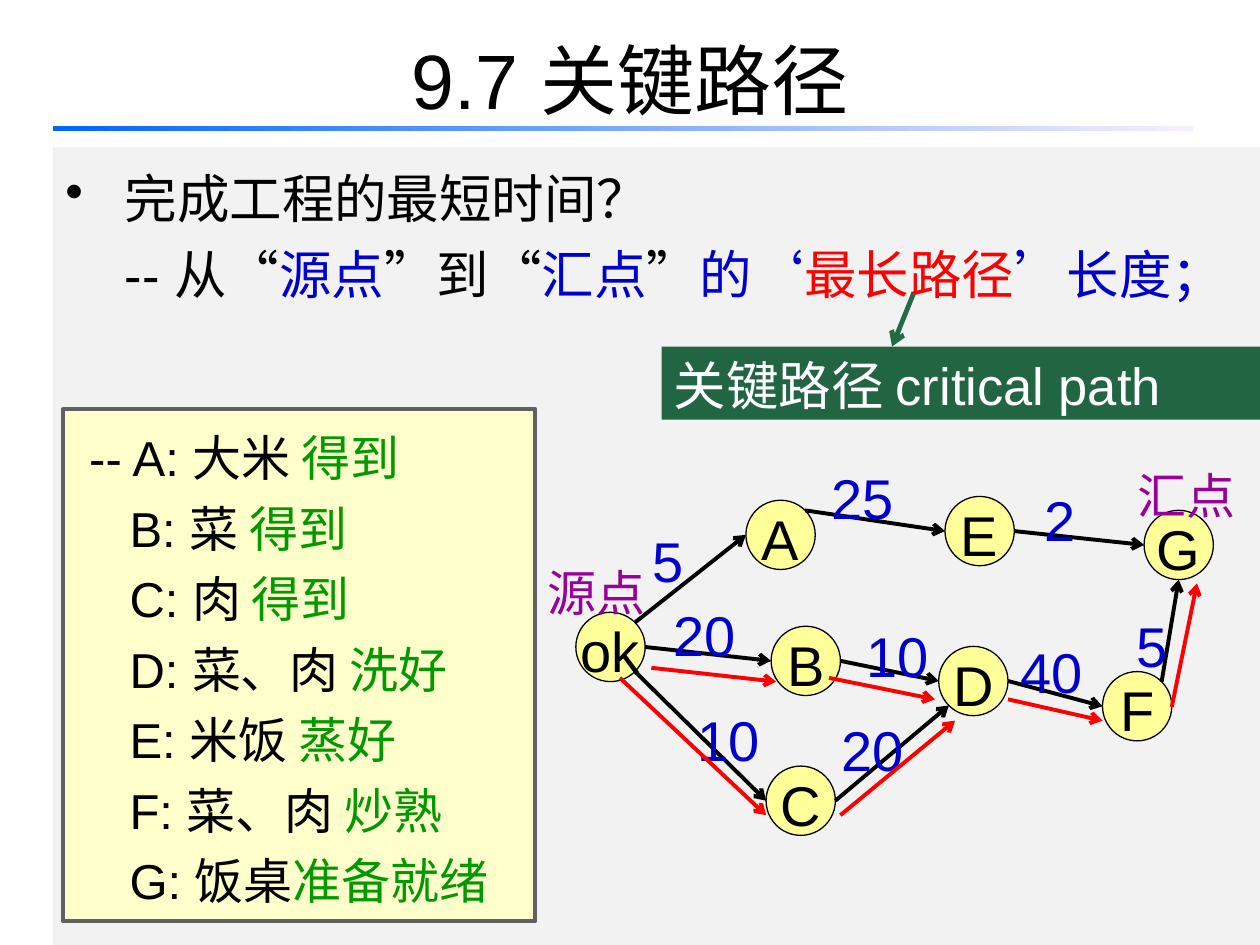
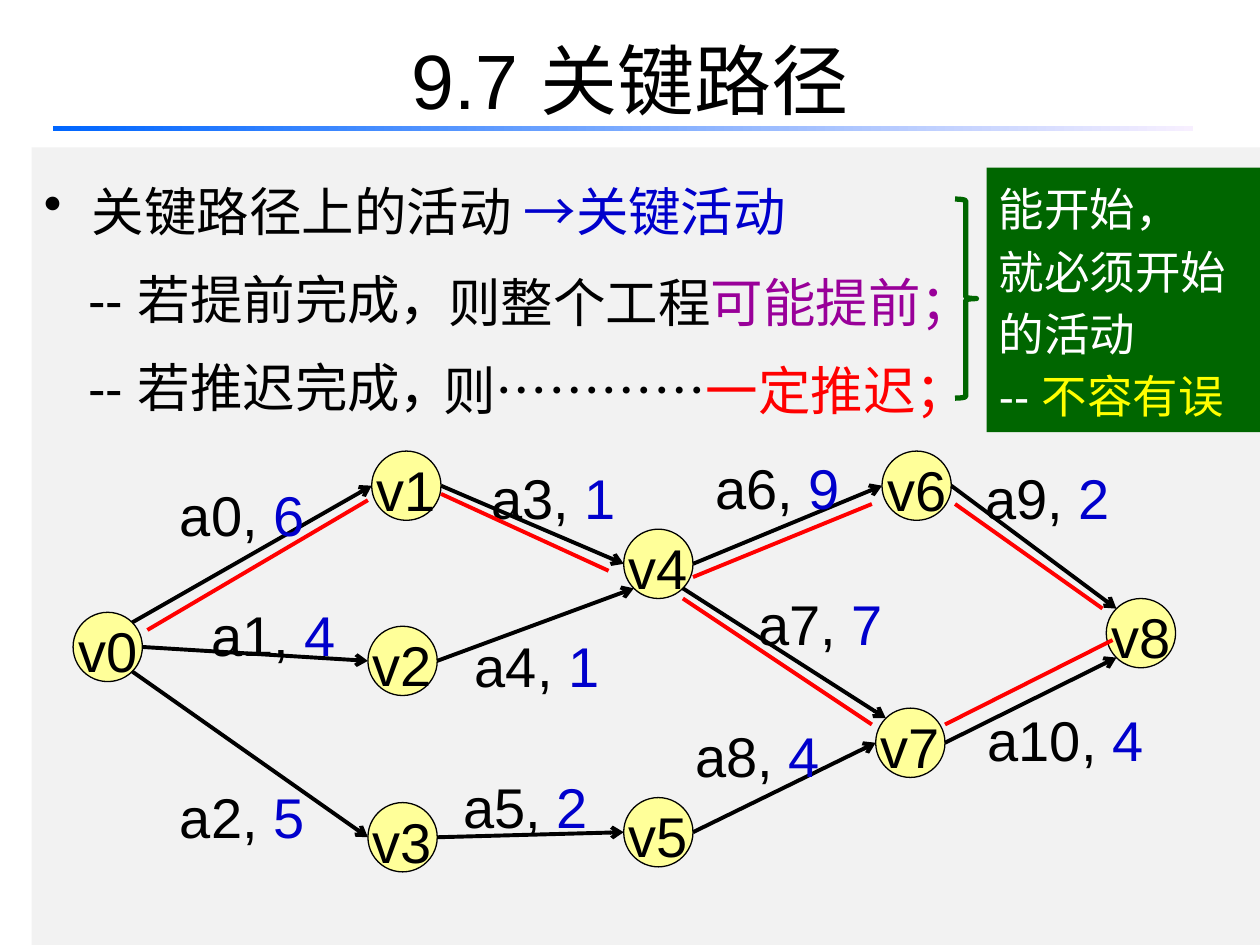
"""Build two slides on critical paths in activity networks."""
import math
from dataclasses import dataclass

from lxml import etree
from pptx import Presentation
from pptx import util as u
from pptx.dml import color as c
from pptx.enum import shapes, text
from pptx.oxml import ns


@dataclass(frozen=True)
class Theme:
    font: str = "Arial"
    ink: str = "000000"
    white: str = "FFFFFF"
    panel: str = "F2F2F2"
    rule_start: str = "0066FF"
    rule_end: str = "F7EFFF"
    blue: str = "0000CC"
    red: str = "FF0000"
    purple: str = "990099"
    green: str = "009900"
    banner: str = "216543"
    pointer: str = "236B47"
    note: str = "006600"
    yellow: str = "FFFF00"
    node: str = "FFFF99"
    legend: str = "FFFFCC"
    legend_edge: str = "606060"
    title_size: int = 44
    node_size: int = 32
    body_size: int = 30
    legend_size: int = 28
    note_size: int = 26
    edge_width: float = 2.25


THEME = Theme()
NODE = 0.55
SITES = {"r": 0, "br": 45, "b": 90, "bl": 135, "l": 180, "tl": 225, "t": 270, "tr": 315}


def rgb(value):
    return c.RGBColor.from_string(value)


def inches(*lengths):
    return [u.Inches(length) for length in lengths]


def write(frame, paragraphs, size=THEME.body_size, color=THEME.ink, spacing=None,
          align=text.PP_ALIGN.LEFT, anchor=text.MSO_ANCHOR.TOP, wrap=True,
          margins=(), bullet=False):
    frame.word_wrap = wrap
    frame.vertical_anchor = anchor
    for index, spans in enumerate(paragraphs):
        para = frame.paragraphs[0] if index == 0 else frame.add_paragraph()
        para.alignment = align
        if spacing:
            para.line_spacing = spacing
        if margins:
            margin = u.Inches(margins[index])
            properties = para._p.get_or_add_pPr()
            properties.set("marL", str(margin))
            if bullet and index == 0:
                properties.set("indent", str(-margin))
                etree.SubElement(properties, ns.qn("a:buChar")).set("char", "•")
        for item in spans:
            words, tint = (item, color) if isinstance(item, str) else item
            span = para.add_run()
            span.text = words
            span.font.name = THEME.font
            span.font.size = u.Pt(size)
            span.font.color.rgb = rgb(tint)


def site(center, name):
    angle = math.radians(SITES[name])
    return (center[0] + NODE / 2 * math.cos(angle), center[1] + NODE / 2 * math.sin(angle))


class Painter:
    """Hold the theme and the current slide."""

    def __init__(self, deck, theme):
        self.deck = deck
        self.theme = theme
        self.page = None

    def start(self, title, panel_left):
        self.page = self.deck.slides.add_slide(self.deck.slide_layouts[5])
        heading = self.page.shapes.title
        heading.left, heading.top, heading.width, heading.height = inches(0.5, 0, 9, 1.25)
        write(heading.text_frame, [[title]], size=self.theme.title_size,
              align=text.PP_ALIGN.CENTER, anchor=text.MSO_ANCHOR.MIDDLE)
        rule = self.shape((0.42, 1, 9.05, 0.04))
        rule.fill.gradient()
        rule.fill.gradient_angle = 0
        for stop, tint in zip(rule.fill.gradient_stops,
                              (self.theme.rule_start, self.theme.rule_end)):
            stop.color.rgb = rgb(tint)
        return self.shape((panel_left, 1.17, 10 - panel_left, 6.33), fill=self.theme.panel)

    def shape(self, place, kind=shapes.MSO_SHAPE.RECTANGLE, fill=None, line=None, width=1):
        box = self.page.shapes.add_shape(kind, *inches(*place))
        box.shadow.inherit = False
        if fill:
            box.fill.solid()
            box.fill.fore_color.rgb = rgb(fill)
        else:
            box.fill.background()
        if line:
            box.line.color.rgb = rgb(line)
            box.line.width = u.Pt(width)
        else:
            box.line.fill.background()
        return box

    def label(self, place, spans, **style):
        box = self.page.shapes.add_textbox(*inches(*place))
        box.text_frame.auto_size = text.MSO_AUTO_SIZE.SHAPE_TO_FIT_TEXT
        write(box.text_frame, [spans], spacing=1.25, **style)

    def weight(self, left, top, value, name=""):
        prefix = f"{name}, " if name else ""
        characters = prefix + value
        letters = sum(letter.isalnum() for letter in characters)
        width = 0.2 + 0.25 * letters + 0.125 * (len(characters) - letters)
        spans = [prefix] if prefix else []
        self.label((left, top, width, 0.71), spans + [(value, self.theme.blue)],
                   size=self.theme.node_size, wrap=False)

    def line(self, start, end, color, arrow=True, width=THEME.edge_width):
        link = self.page.shapes.add_connector(shapes.MSO_CONNECTOR.STRAIGHT,
                                              *inches(*start, *end))
        link.line.color.rgb = rgb(color)
        link.line.width = u.Pt(width)
        properties = link.element.spPr
        if arrow:
            outline = properties.find(ns.qn("a:ln"))
            etree.SubElement(outline, ns.qn("a:tailEnd")).set("type", "arrow")
        etree.SubElement(properties, ns.qn("a:effectLst"))

    def network(self, nodes, edges):
        centers = {}
        for name, (left, top) in nodes.items():
            circle = self.shape((left, top, NODE, NODE), shapes.MSO_SHAPE.OVAL,
                                self.theme.node, self.theme.ink, 0.75)
            write(circle.text_frame, [[name]], size=self.theme.node_size, spacing=1.1,
                  align=text.PP_ALIGN.CENTER, anchor=text.MSO_ANCHOR.MIDDLE, wrap=False)
            centers[name] = (left + NODE / 2, top + NODE / 2)
        for source, leave, target, arrive in edges:
            self.line(site(centers[source], leave), site(centers[target], arrive),
                      self.theme.ink)

    def critical(self, routes, arrow):
        for left, top, right, bottom in routes:
            self.line((left, top), (right, bottom), self.theme.red, arrow)


def build_shortest_time(painter):
    theme = painter.theme
    blue = theme.blue
    panel = painter.start("9.7 关键路径", 0.42)
    write(panel.text_frame, [
        ["完成工程的最短时间？"],
        ["-- 从“", ("源点", blue), "”到“", ("汇点", blue), "”", ("的‘", blue),
         ("最长路径", theme.red), ("’长度；", blue)],
    ], spacing=1.2, margins=(0.47, 0.47), bullet=True)
    banner = painter.shape((5.25, 2.75, 4.75, 0.58), fill=theme.banner)
    write(banner.text_frame, [["关键路径 critical path"]], color=theme.white)
    painter.line((7.25, 2.33), (7.08, 2.75), theme.pointer, width=2.75)

    legend = painter.shape((0.5, 3.25, 3.75, 4.06), fill=theme.legend,
                           line=theme.legend_edge, width=2.25)
    states = [("-- A: 大米 ", "得到"), ("B: 菜 ", "得到"), ("C: 肉 ", "得到"),
              ("D: 菜、肉 ", "洗好"), ("E: 米饭 ", "蒸好"), ("F: 菜、肉 ", "炒熟"),
              ("G: 饭桌", "准备就绪")]
    write(legend.text_frame, [[item, (state, theme.green)] for item, state in states],
          size=theme.legend_size, spacing=1.2, margins=[0.11] + [0.43] * 6)

    painter.network(
        {"ok": (4.57, 4.86), "A": (5.92, 3.97), "B": (6.12, 4.97), "C": (6.08, 6.08),
         "D": (7.45, 5.13), "E": (7.5, 3.94), "F": (8.75, 5.33), "G": (9.08, 4.05)},
        [("ok", "tr", "A", "l"), ("ok", "r", "B", "l"), ("ok", "br", "C", "l"),
         ("A", "tr", "E", "l"), ("B", "r", "D", "l"), ("C", "r", "D", "bl"),
         ("D", "r", "F", "l"), ("E", "r", "G", "l"), ("F", "tr", "G", "b")])
    for left, top, width, name in [(4.25, 4.3, 0.99, "源点"), (8.93, 3.53, 1.07, "汇点")]:
        painter.label((left, top, width, 0.63), [name],
                      size=theme.legend_size, color=theme.purple)
    for left, top, value in [(5.08, 4, "5"), (5.25, 4.58, "20"), (5.44, 5.42, "10"),
                             (6.58, 5.5, "20"), (6.78, 4.75, "10"), (6.5, 3.5, "25"),
                             (8.92, 4.67, "5"), (8.19, 3.67, "2"), (8, 4.88, "40")]:
        painter.weight(left, top, value)
    painter.critical([(5.17, 5.3, 6.16, 5.41), (6.58, 5.38, 7.42, 5.55),
                      (8, 5.55, 8.75, 5.72), (4.92, 5.38, 6.08, 6.47),
                      (6.67, 6.47, 7.58, 5.72), (9.3, 5.61, 9.5, 4.63)], arrow=True)


def build_critical_activities(painter):
    theme = painter.theme
    panel = painter.start("9.7 关键路径", 0.25)
    write(panel.text_frame, [
        ["关键路径上的活动 ", ("→关键活动", theme.blue)],
        ["-- 若提前完成，"],
        ["-- 若推迟完成，"],
    ], spacing=1.4, margins=(0.38, 0.35, 0.35), bullet=True)
    painter.label((3.46, 1.97, 4.46, 0.67), ["则整个工程", ("可能提前；", theme.purple)])
    painter.label((3.42, 2.67, 4.41, 0.67), ["则…………", ("一定推迟；", theme.red)],
                  wrap=False)

    painter.network(
        {"v0": (0.58, 4.86), "v1": (2.95, 3.58), "v2": (2.92, 4.97), "v3": (2.92, 6.37),
         "v4": (4.95, 4.2), "v5": (4.95, 6.33), "v6": (7, 3.58), "v7": (6.95, 5.62),
         "v8": (8.78, 4.75)},
        [("v0", "tr", "v1", "l"), ("v0", "r", "v2", "l"), ("v0", "br", "v3", "l"),
         ("v1", "r", "v4", "l"), ("v2", "r", "v4", "bl"), ("v3", "r", "v5", "l"),
         ("v4", "r", "v6", "l"), ("v4", "br", "v7", "tl"), ("v5", "r", "v7", "l"),
         ("v6", "r", "v8", "tl"), ("v7", "r", "v8", "bl")])
    activities = [(1.33, 3.63, "6"), (1.58, 4.58, "4"), (1.33, 6.03, "5"),
                  (3.8, 3.5, "1"), (3.67, 4.83, "1"), (3.58, 5.95, "2"),
                  (5.58, 3.42, "9"), (5.92, 4.5, "7"), (5.42, 5.54, "4"),
                  (7.72, 3.5, "2"), (7.74, 5.42, "4")]
    for number, (left, top, value) in enumerate(activities):
        painter.weight(left, top, value, f"a{number}")
    painter.critical([(1.17, 5, 2.92, 3.97), (3.5, 3.92, 4.83, 4.53),
                      (5.5, 4.58, 6.92, 4), (7.58, 4, 8.75, 4.83),
                      (5.42, 4.75, 6.92, 5.75), (7.5, 5.75, 8.83, 5.08)], arrow=False)

    painter.shape((7.58, 1.58, 0.17, 1.58), shapes.MSO_SHAPE.RIGHT_BRACE,
                  line=theme.note, width=3)
    note = painter.shape((7.83, 1.33, 2.17, 2.1), fill=theme.note)
    write(note.text_frame, [["能开始，"], ["就必须开始"], ["的活动"],
                            ["-- ", ("不容有误", theme.yellow)]],
          size=theme.note_size, color=theme.white, spacing=1.14)


def main():
    deck = Presentation()
    deck.slide_width, deck.slide_height = inches(10, 7.5)
    painter = Painter(deck, THEME)
    build_shortest_time(painter)
    build_critical_activities(painter)
    deck.save("out.pptx")


if __name__ == "__main__":
    main()
